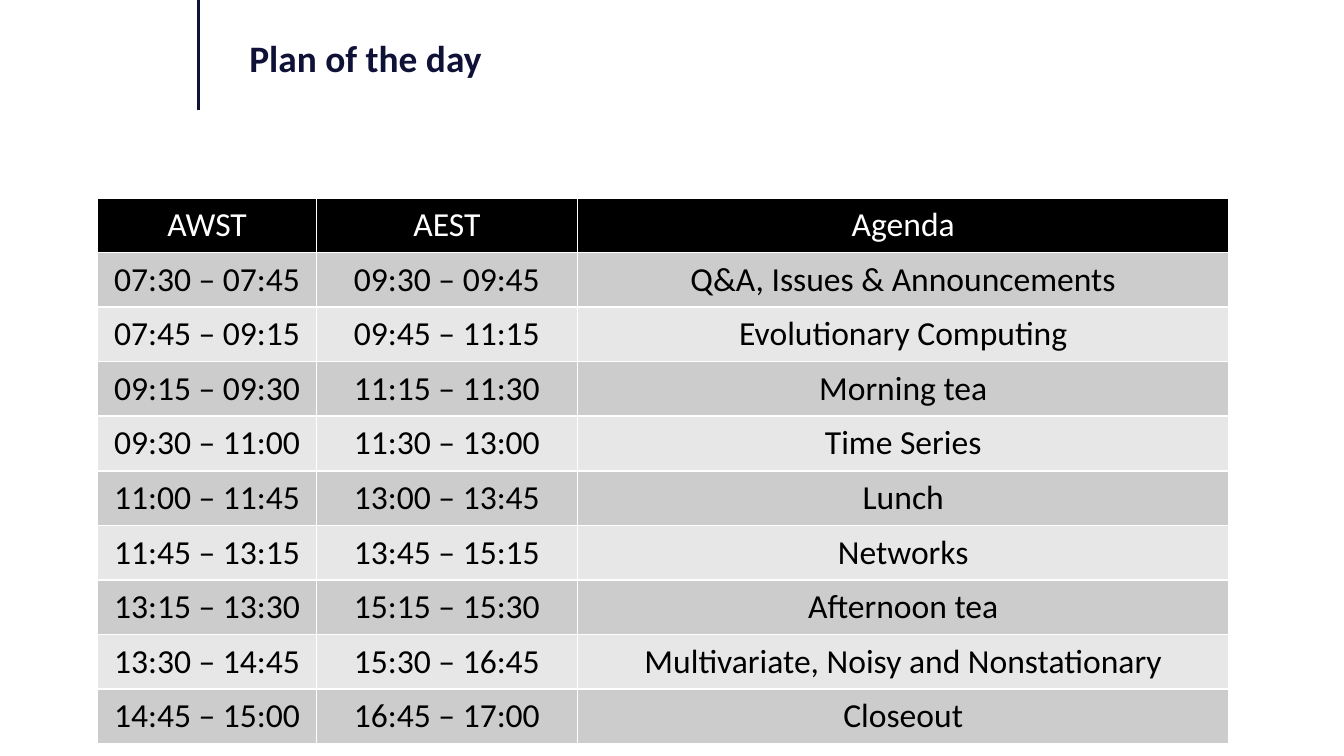
"""Build the "Plan of the day" agenda slide."""
from typing import NamedTuple

from pptx import Presentation
from pptx.dml.color import RGBColor
from pptx.enum.shapes import MSO_CONNECTOR as Connector
from pptx.enum.text import MSO_ANCHOR as Anchor, PP_ALIGN as Align
from pptx.oxml.ns import qn
from pptx.slide import Slide
from pptx.table import _Cell as Cell
from pptx.text.text import TextFrame
from pptx.util import Inches, Pt
from lxml.etree import SubElement

WIDTH = Inches(10)
HEIGHT = WIDTH * 9 // 16
FONT = "Calibri"
NAVY = RGBColor(0x0F, 0x11, 0x37)
BLACK = RGBColor(0, 0, 0)
WHITE = RGBColor(0xFF, 0xFF, 0xFF)
DARK_BAND = RGBColor(0xCC, 0xCC, 0xCC)
LIGHT_BAND = RGBColor(0xE7, 0xE7, 0xE7)


class Area(NamedTuple):
    """A rectangle in percent of the slide's width and height."""

    left: float
    top: float
    width: float
    height: float

    def lengths(self) -> tuple[int, int, int, int]:
        """Return left, top, width and height as slide lengths."""
        return across(self.left), down(self.top), across(self.width), down(self.height)


class Session(NamedTuple):
    """One row of the agenda."""

    awst: str
    aest: str
    agenda: str


RULE = Area(14.77, 0, 0, 14.6)
TITLE = Area(17.57, 3.74, 76, 8.72)
AGENDA = Area(7.26, 26.2, 84.2, 72.2)
COLUMN_SHARES = (16.3, 19.4, 48.5)
SESSIONS = (
    Session("AWST", "AEST", "Agenda"),
    Session("07:30 – 07:45", "09:30 – 09:45", "Q&A, Issues & Announcements"),
    Session("07:45 – 09:15", "09:45 – 11:15", "Evolutionary Computing"),
    Session("09:15 – 09:30", "11:15 – 11:30", "Morning tea"),
    Session("09:30 – 11:00", "11:30 – 13:00", "Time Series"),
    Session("11:00 – 11:45", "13:00 – 13:45", "Lunch"),
    Session("11:45 – 13:15", "13:45 – 15:15", "Networks"),
    Session("13:15 – 13:30", "15:15 – 15:30", "Afternoon tea"),
    Session("13:30 – 14:45", "15:30 – 16:45", "Multivariate, Noisy and Nonstationary"),
    Session("14:45 – 15:00", "16:45 – 17:00", "Closeout"),
)


def across(percent: float) -> int:
    """Return a share of the slide's width."""
    return round(WIDTH * percent / 100)


def down(percent: float) -> int:
    """Return a share of the slide's height."""
    return round(HEIGHT * percent / 100)


def write(frame: TextFrame, text: str, *, size: float, color: RGBColor,
          bold: bool = False, align: Align = Align.LEFT) -> None:
    """Put one formatted paragraph into a text frame."""
    para = frame.paragraphs[0]
    para.alignment = align
    span = para.add_run()
    span.text = text
    span.font.name = FONT
    span.font.size = Pt(size)
    span.font.bold = bold
    span.font.color.rgb = color


def draw_rule(page: Slide, area: Area) -> None:
    """Draw the vertical line beside the title."""
    left, top, width, height = area.lengths()
    rule = page.shapes.add_connector(
        Connector.STRAIGHT, left, top + height, left + width, top)
    rule.line.color.rgb = NAVY
    rule.line.width = Pt(1.25)
    SubElement(rule._element.spPr, qn("a:effectLst"))


def draw_title(page: Slide, area: Area, text: str) -> None:
    """Draw the slide's heading."""
    frame = page.shapes.add_textbox(*area.lengths()).text_frame
    frame.word_wrap = True
    frame.vertical_anchor = Anchor.TOP
    write(frame, text, size=20, color=NAVY, bold=True)


def set_borders(cell: Cell) -> None:
    """Give a cell thin white borders, placed ahead of its fill."""
    properties = cell._tc.get_or_add_tcPr()
    for index, tag in enumerate(("a:lnL", "a:lnR", "a:lnT", "a:lnB")):
        border = SubElement(properties, qn(tag), w=str(Pt(1)))
        fill = SubElement(border, qn("a:solidFill"))
        SubElement(fill, qn("a:srgbClr"), val=str(WHITE))
        properties.insert(index, border)


def draw_agenda(page: Slide, area: Area, sessions: tuple[Session, ...]) -> None:
    """Draw the agenda as a banded table with a black header."""
    table = page.shapes.add_table(
        len(sessions), len(COLUMN_SHARES), *area.lengths()).table
    for column, share in zip(table.columns, COLUMN_SHARES):
        column.width = across(share)
    for index, (row, session) in enumerate(zip(table.rows, sessions)):
        header = index == 0
        band = BLACK if header else DARK_BAND if index % 2 else LIGHT_BAND
        row.height = down(area.height / len(sessions))
        for cell, text in zip(row.cells, session):
            cell.fill.solid()
            cell.fill.fore_color.rgb = band
            set_borders(cell)
            write(cell.text_frame, text, size=18,
                  color=WHITE if header else BLACK, align=Align.CENTER)


def main() -> None:
    """Build and save the deck."""
    deck = Presentation()
    deck.slide_width, deck.slide_height = WIDTH, HEIGHT
    page = deck.slides.add_slide(deck.slide_layouts[6])
    draw_rule(page, RULE)
    draw_title(page, TITLE, "Plan of the day")
    draw_agenda(page, AGENDA, SESSIONS)
    deck.save("out.pptx")


if __name__ == "__main__":
    main()
